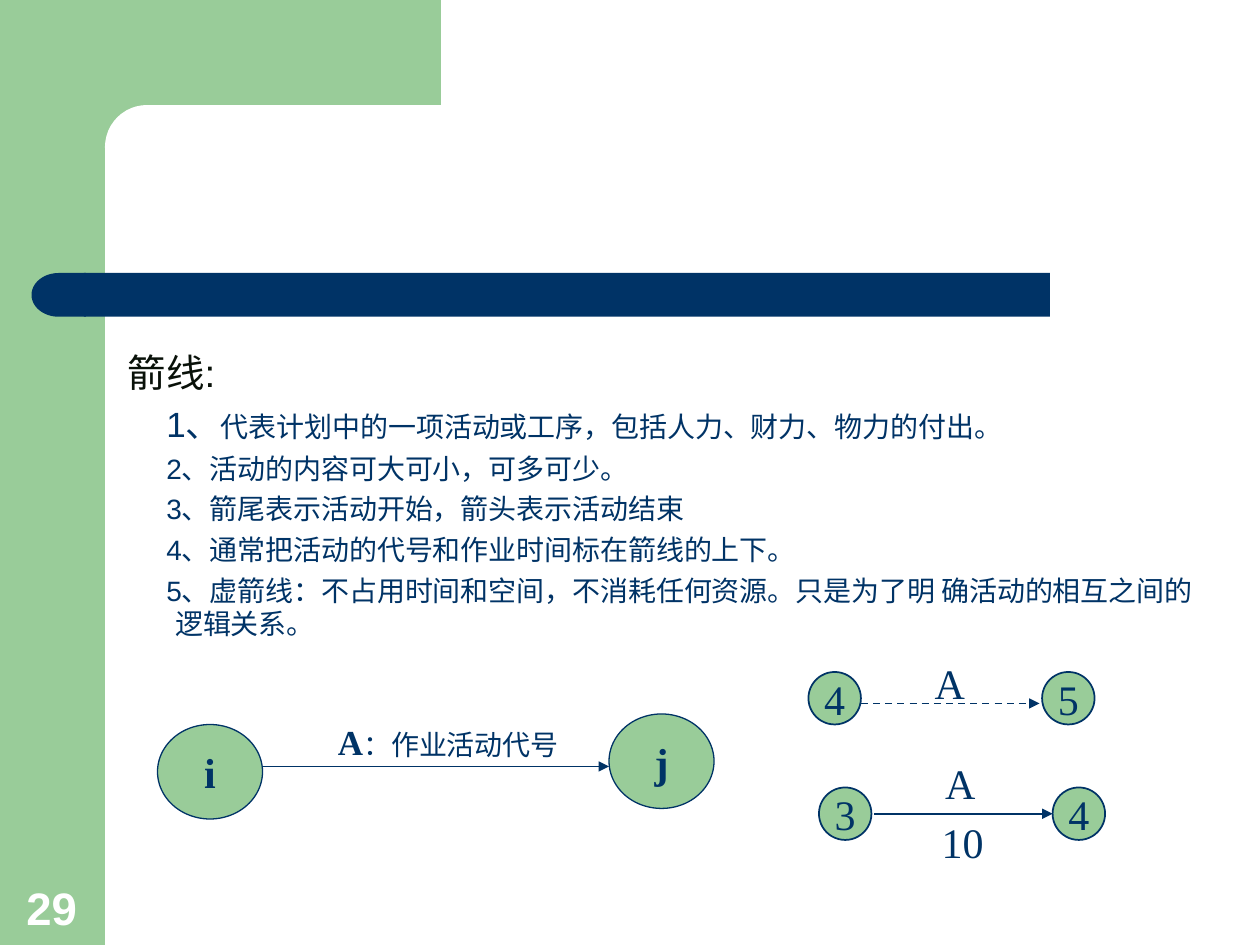
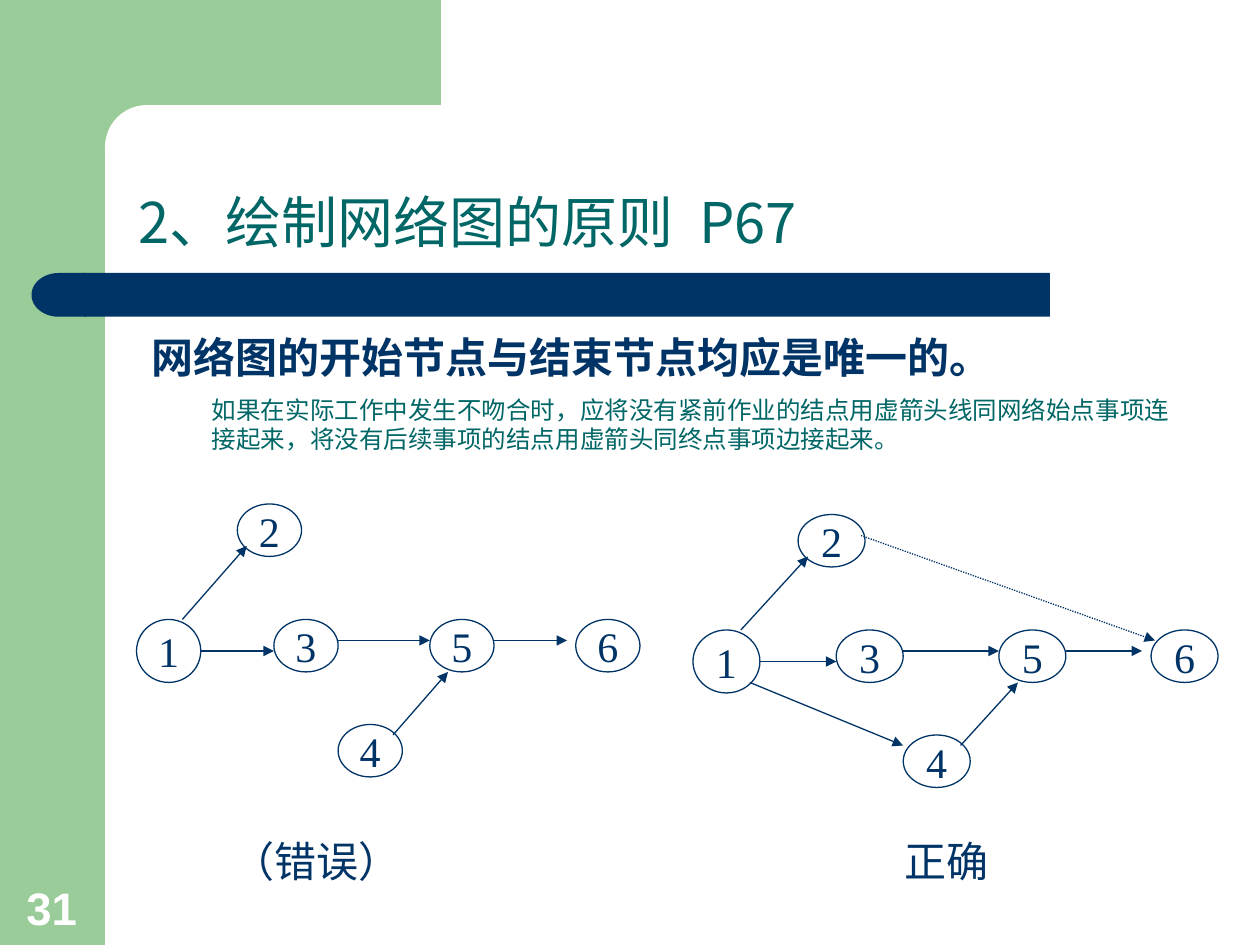
from lxml import etree
from pptx import Presentation
from pptx.dml.color import RGBColor
from pptx.enum.dml import MSO_LINE
from pptx.enum.shapes import MSO_CONNECTOR, MSO_SHAPE
from pptx.enum.text import MSO_ANCHOR, PP_ALIGN
from pptx.oxml.ns import qn
from pptx.util import Pt

NAVY, GREEN, TEAL, WHITE, BLACK = "003366", "99CC99", "006666", "FFFFFF", "091109"
SERIF, SANS, CHINESE = "Times New Roman", "Arial", "Noto Sans CJK SC"

# Text styles
NODE = dict(size=24, name=SERIF, color=NAVY)
STRONG_NODE = dict(NODE, bold=True)
CODE = dict(STRONG_NODE, size=20)
CODE_NOTE = dict(NODE, size=16)
TITLE = dict(size=32, name=CHINESE, color=TEAL)
WIDE_GAP = dict(TITLE, spacing=7.2)
RULE = dict(size=24, name=CHINESE, color=NAVY, bold=True)
REMARK = dict(size=14, name=SANS, color=TEAL)
TOPIC = dict(size=22, name=SANS, color=BLACK)
ITEM = dict(size=16, name=SANS, color=NAVY)
FIRST_NUMBER = dict(ITEM, size=20)
PAGE = dict(size=26, name=SANS, color=WHITE, bold=True)

# Frame shared by the slides: shape, box, colour
FRAME = [
    (MSO_SHAPE.RECTANGLE, (0, 0, 60, 540), GREEN),
    (MSO_SHAPE.RECTANGLE, (54, 0, 198, 84), GREEN),
    (MSO_SHAPE.ROUNDED_RECTANGLE, (60, 60, 402, 48), WHITE),
    (MSO_SHAPE.RECTANGLE, (48, 156, 552, 25), NAVY),
    (MSO_SHAPE.FLOWCHART_DELAY, (18, 156, 31, 25), NAVY),
]

# Slide about arrows
ARROW_TOPIC = "箭线:"
ARROW_ITEMS = [
    [("1、", FIRST_NUMBER), ("代表计划中的一项活动或工序，包括人力、财力、物力的付出。", ITEM)],
    [("2、活动的内容可大可小，可多可少。", ITEM)],
    [("3、箭尾表示活动开始，箭头表示活动结束", ITEM)],
    [("4、通常把活动的代号和作业时间标在箭线的上下。", ITEM)],
    [("5、虚箭线：不占用时间和空间，不消耗任何资源。"
      "只是为了明 确活动的相互之间的逻辑关系。", ITEM)],
]
EXAMPLE_NODES = [
    ("3", (468, 450, 30, 30), NODE, 1),
    ("4", (601.5, 450, 30, 30), NODE, 1),
    ("4", (462, 384, 30, 30), NODE, 1),
    ("5", (595.5, 384, 30, 30), NODE, 1),
    ("i", (90, 414, 60, 54), STRONG_NODE, 0.75),
    ("j", (348, 408, 60, 54), STRONG_NODE, 0.75),
]
EXAMPLE_ARROWS = [
    ((499.5, 465, 601.5, 465), 1, None),
    ((492, 402, 594, 402), 1, MSO_LINE.DASH),
    ((150, 438, 348, 438), 0.75, None),
]

# Slide about drawing rules: offsets from the network's left and top
NETWORK_NODES = [
    ("1", 0, 66, 36), ("3", 78.5, 66, 30), ("5", 167.6, 66, 30),
    ("6", 251, 66, 30), ("2", 57.6, 0, 30), ("4", 115.2, 126, 30),
]
NODE_WIDTH = 36.7
NETWORK_ARROWS = [
    (26.2, 66, 63, 24), (36.7, 84, 78.5, 84), (115.2, 78, 167.6, 78),
    (204.3, 78, 246, 78), (146.6, 132, 178, 96),
]
NETWORKS = [  # left, top, horizontal stretch
    (78, 288, 1), (396, 294, 1.043),
]
ADDED_ARROWS = [
    ((428.5, 390, 516, 426), None),
    ((492, 306, 660, 366), MSO_LINE.ROUND_DOT),
]
VERDICTS = [("（错误）", (126, 474, 125, 36)), ("正确", (510, 474, 63, 36))]


def rgb(code):
    return RGBColor.from_string(code)


def points(values):
    return [Pt(value) for value in values]


def fill_paragraph(paragraph, runs, margin=0, indent=0, **formats):
    properties = paragraph._p.get_or_add_pPr()
    properties.set("marL", str(Pt(margin)))
    properties.set("indent", str(Pt(indent)))
    for key, value in formats.items():
        setattr(paragraph, key, value)
    for words, style in runs:
        run = paragraph.add_run()
        run.text = words
        run_properties = run._r.get_or_add_rPr()
        for key, value in style.items():
            if key == "color":
                run.font.color.rgb = rgb(value)
            elif key == "spacing":
                run_properties.set("spc", str(round(value * 100)))
            else:
                setattr(run.font, key, Pt(value) if key == "size" else value)
        etree.SubElement(run_properties, qn("a:ea"), typeface=CHINESE)


def add_text(slide, box, paragraphs, anchor=MSO_ANCHOR.TOP, wrap=True):
    """Add a text box; each paragraph is (runs, paragraph formats)."""
    frame = slide.shapes.add_textbox(*points(box)).text_frame
    frame.word_wrap = wrap
    frame.vertical_anchor = anchor
    for number, (runs, formats) in enumerate(paragraphs):
        paragraph = frame.add_paragraph() if number else frame.paragraphs[0]
        fill_paragraph(paragraph, runs, **formats)


def add_plain_shape(slide, kind, box, color):
    shape = slide.shapes.add_shape(kind, *points(box))
    shape.shadow.inherit = False
    shape.fill.solid()
    shape.fill.fore_color.rgb = rgb(color)
    shape.line.fill.background()
    return shape


def add_node(slide, label, box, color, style=NODE, weight=0.75):
    node = add_plain_shape(slide, MSO_SHAPE.OVAL, box, color)
    node.line.color.rgb = rgb(NAVY)
    node.line.width = Pt(weight)
    frame = node.text_frame
    frame.word_wrap = False
    frame.vertical_anchor = MSO_ANCHOR.MIDDLE
    fill_paragraph(frame.paragraphs[0], [(label, style)], alignment=PP_ALIGN.CENTER)


def add_arrow(slide, ends, weight=0.75, dash=None):
    arrow = slide.shapes.add_connector(MSO_CONNECTOR.STRAIGHT, *points(ends))
    arrow.line.color.rgb = rgb(NAVY)
    arrow.line.width = Pt(weight)
    if dash:
        arrow.line.dash_style = dash
    etree.SubElement(arrow.line._get_or_add_ln(), qn("a:tailEnd"), type="triangle")
    etree.SubElement(arrow._element.spPr, qn("a:effectLst"))


def add_framed_slide(deck, page):
    slide = deck.slides.add_slide(deck.slide_layouts[6])
    for kind, box, color in FRAME:
        part = add_plain_shape(slide, kind, box, color)
        if kind == MSO_SHAPE.ROUNDED_RECTANGLE:
            part.adjustments[0] = 0.5
        elif kind == MSO_SHAPE.FLOWCHART_DELAY:
            part.rotation = 180
    add_text(slide, (8, 499, 46, 38.5), [([(page, PAGE)], {})], MSO_ANCHOR.BOTTOM)
    return slide


def build_arrow_slide(deck):
    slide = add_framed_slide(deck, "29")
    item_format = dict(margin=27, indent=-5, space_before=Pt(4))
    add_text(slide, (66, 196, 630, 296),
             [([(ARROW_TOPIC, TOPIC)], {})] + [(runs, item_format) for runs in ARROW_ITEMS])
    for label, box, style, weight in EXAMPLE_NODES:
        add_node(slide, label, box, GREEN, style, weight)
    activity = ([("A", NODE)], dict(margin=17))
    duration = ([("10", NODE)], dict(margin=15, space_before=Pt(15), line_spacing=0.6))
    add_text(slide, (516, 429.5, 72, 68.5), [activity, duration])
    add_text(slide, (510, 372, 72, 36), [activity])
    add_text(slide, (186, 408, 144, 50.5),
             [([("A", CODE), ("：作业活动代号", CODE_NOTE)], {})])
    for ends, weight, dash in EXAMPLE_ARROWS:
        add_arrow(slide, ends, weight, dash)


def add_network(slide, left, top, stretch):
    for label, x, y, height in NETWORK_NODES:
        box = (left + x * stretch, top + y, NODE_WIDTH * stretch, height)
        add_node(slide, label, box, WHITE)
    for x1, y1, x2, y2 in NETWORK_ARROWS:
        add_arrow(slide, (left + x1 * stretch, top + y1, left + x2 * stretch, top + y2))


def build_rule_slide(deck):
    slide = add_framed_slide(deck, "31")
    title_runs = [("2、绘制网络图的原则", TITLE), (" ", WIDE_GAP), ("P67", TITLE)]
    add_text(slide, (72, 59.5, 630, 90), [(title_runs, dict(line_spacing=0.9))],
             MSO_ANCHOR.BOTTOM)
    add_text(slide, (79.5, 186, 494, 36),
             [([("网络图的开始节点与结束节点均应是唯一的。", RULE)], {})], wrap=False)
    add_text(slide, (114, 222, 568, 41),
             [([("如果在实际工作中发生不吻合时，应将没有紧前作业的结点用虚箭头线同网络始点事项连"
                 "接起来，将没有后续事项的结点用虚箭头同终点事项边接起来。", REMARK)], {})])
    for network in NETWORKS:
        add_network(slide, *network)
    for ends, dash in ADDED_ARROWS:
        add_arrow(slide, ends, dash=dash)
    for verdict, box in VERDICTS:
        add_text(slide, box, [([(verdict, NODE)], {})])


def main():
    deck = Presentation()
    deck.slide_width, deck.slide_height = Pt(720), Pt(540)
    build_arrow_slide(deck)
    build_rule_slide(deck)
    deck.save("out.pptx")


if __name__ == "__main__":
    main()
